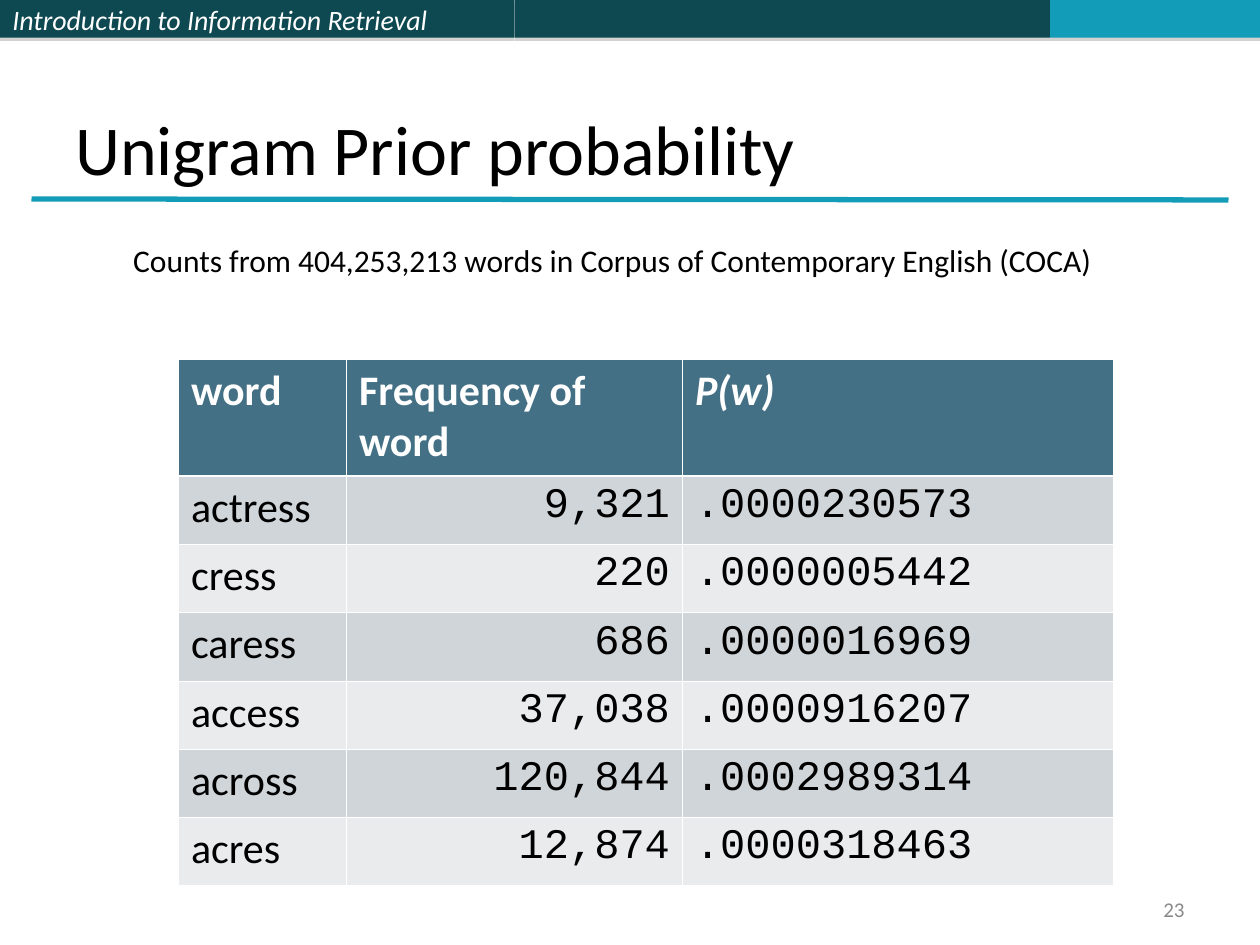
from lxml import etree
from pptx import Presentation
from pptx.dml.color import RGBColor
from pptx.enum.shapes import MSO_CONNECTOR, MSO_SHAPE
from pptx.enum.text import MSO_ANCHOR, PP_ALIGN
from pptx.oxml import parse_xml
from pptx.oxml.ns import nsdecls, qn
from pptx.util import Pt

RECTANGLE = MSO_SHAPE.RECTANGLE
STRAIGHT = MSO_CONNECTOR.STRAIGHT
TOP, MIDDLE, BOTTOM = MSO_ANCHOR.TOP, MSO_ANCHOR.MIDDLE, MSO_ANCHOR.BOTTOM
LEFT, RIGHT = PP_ALIGN.LEFT, PP_ALIGN.RIGHT

SANS, MONO = "Calibri", "Courier New"
COLORS = {
    "dark teal": "0E4851",
    "teal": "139CB7",
    "shadow": "808080",
    "header": "437085",
    "odd row": "CFD5D9",
    "even row": "E9EBED",
    "white": "FFFFFF",
    "black": "000000",
    "gray": "898989",
}
HEADINGS = ("word", "Frequency of word", "P(w)")
WORDS = (
    ("actress", "9,321", ".0000230573"),
    ("cress", "220", ".0000005442"),
    ("caress", "686", ".0000016969"),
    ("access", "37,038", ".0000916207"),
    ("across", "120,844", ".0002989314"),
    ("acres", "12,874", ".0000318463"),
)
COLUMN_WIDTHS = (96, 192, 246)
COLUMN_FONTS = (SANS, MONO, MONO)
COLUMN_ALIGNS = (LEFT, RIGHT, LEFT)
HEADER_HEIGHT, ROW_HEIGHT = 67, 39
THIN, THICK = 0.45, 1.47


def rgb(color):
    """Return the named color."""
    return RGBColor.from_string(COLORS[color])


def write(frame, text, size, color, font=SANS, align=LEFT, bold=False, italic=False):
    """Fill a text frame with one formatted paragraph."""
    frame.text = text
    paragraph = frame.paragraphs[0]
    paragraph.alignment = align
    style = paragraph.runs[0].font
    style.name, style.size = font, Pt(size)
    style.bold, style.italic = bold, italic
    style.color.rgb = rgb(color)


def add_bar(slide, left, width, color):
    """Add a banner segment with a soft shadow below it."""
    bar = slide.shapes.add_shape(RECTANGLE, Pt(left), 0, Pt(width), Pt(21.6))
    bar.fill.solid()
    bar.fill.fore_color.rgb = rgb(color)
    bar.line.fill.background()
    bar.shadow.inherit = False
    effects = bar._element.spPr.find(qn("a:effectLst"))
    effects.append(parse_xml(
        f'<a:outerShdw {nsdecls("a")} blurRad="0" dist="{Pt(1.8)}" dir="5400000">'
        f'<a:srgbClr val="{COLORS["shadow"]}"><a:alpha val="35000"/></a:srgbClr>'
        "</a:outerShdw>"))
    return bar


def add_rule(slide, start, end):
    """Add the line under the title."""
    rule = slide.shapes.add_connector(STRAIGHT, *map(Pt, start + end))
    rule.line.color.rgb = rgb("teal")
    rule.line.width = Pt(3)
    etree.SubElement(rule._element.spPr, qn("a:effectLst"))


def add_text(slide, box, text, size, color, anchor=TOP, align=LEFT, wrap=True):
    """Add a text box."""
    frame = slide.shapes.add_textbox(*map(Pt, box)).text_frame
    frame.word_wrap = wrap
    frame.vertical_anchor = anchor
    write(frame, text, size, color, align=align)


def style_cell(cell, fill, top, bottom):
    """Give a cell its white borders and its fill."""
    properties = cell._tc.get_or_add_tcPr()
    for side, width in (("L", THIN), ("R", THIN), ("T", top), ("B", bottom)):
        properties.append(parse_xml(
            f'<a:ln{side} {nsdecls("a")} w="{Pt(width)}"><a:solidFill>'
            f'<a:srgbClr val="{COLORS["white"]}"/></a:solidFill></a:ln{side}>'))
    cell.fill.solid()
    cell.fill.fore_color.rgb = rgb(fill)


def add_probability_table(slide, left, top):
    """Add the table of word counts and probabilities."""
    height = HEADER_HEIGHT + ROW_HEIGHT * len(WORDS)
    table = slide.shapes.add_table(
        len(WORDS) + 1, len(HEADINGS),
        Pt(left), Pt(top), Pt(sum(COLUMN_WIDTHS)), Pt(height)).table
    for column, width in zip(table.columns, COLUMN_WIDTHS):
        column.width = Pt(width)
    for number, row in enumerate(table.rows):
        row.height = Pt(ROW_HEIGHT if number else HEADER_HEIGHT)
    for column, heading in enumerate(HEADINGS):
        cell = table.cell(0, column)
        style_cell(cell, "header", THIN, THICK)
        write(cell.text_frame, heading, 24, "white", bold=True, italic=heading == "P(w)")
    for number, values in enumerate(WORDS, start=1):
        fill = "odd row" if number % 2 else "even row"
        for column, value in enumerate(values):
            cell = table.cell(number, column)
            style_cell(cell, fill, THICK if number == 1 else THIN, THIN)
            write(cell.text_frame, value, 24, "black",
                  COLUMN_FONTS[column], COLUMN_ALIGNS[column])


def main():
    """Build and save the slide."""
    deck = Presentation()
    deck.slide_width, deck.slide_height = Pt(720), Pt(540)
    slide = deck.slides.add_slide(deck.slide_layouts[6])

    course_bar = add_bar(slide, 0, 294, "dark teal")
    course_bar.text_frame.vertical_anchor = MIDDLE
    write(course_bar.text_frame, "Introduction to Information Retrieval",
          16, "white", italic=True)
    add_bar(slide, 294, 306, "dark teal")
    add_bar(slide, 600, 120, "teal")

    add_rule(slide, (18, 113.75), (702, 114.25))
    add_text(slide, (36, 21.6, 648, 90), "Unigram Prior probability",
             40, "black", anchor=BOTTOM)
    add_probability_table(slide, 102, 205.2)
    add_text(slide, (516, 510, 168, 19.5), "23", 12, "gray", anchor=MIDDLE, align=RIGHT)
    add_text(slide, (69, 134, 564, 50),
             "Counts from 404,253,213 words in Corpus of Contemporary English (COCA)",
             18, "black", wrap=False)
    deck.save("out.pptx")


if __name__ == "__main__":
    main()
